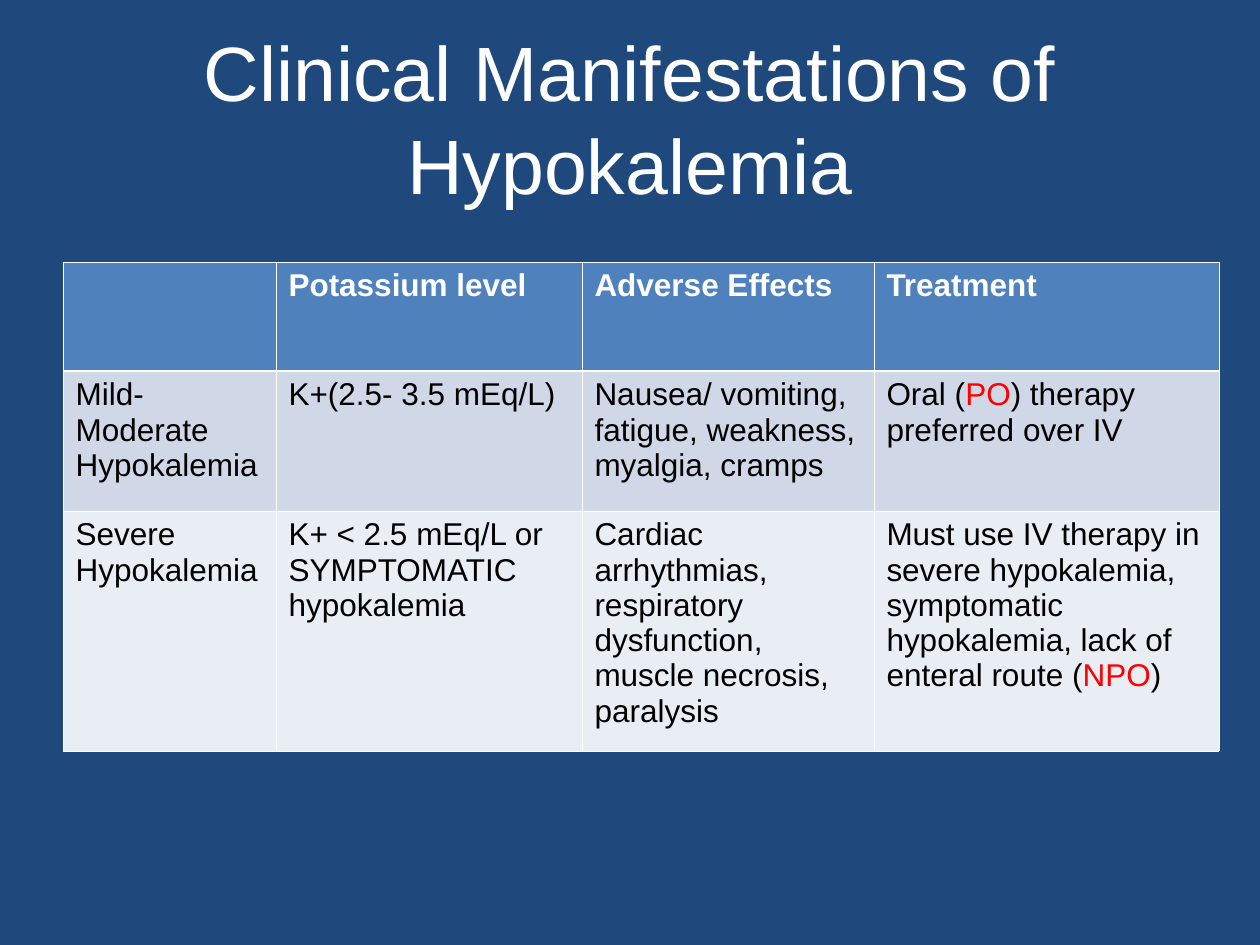
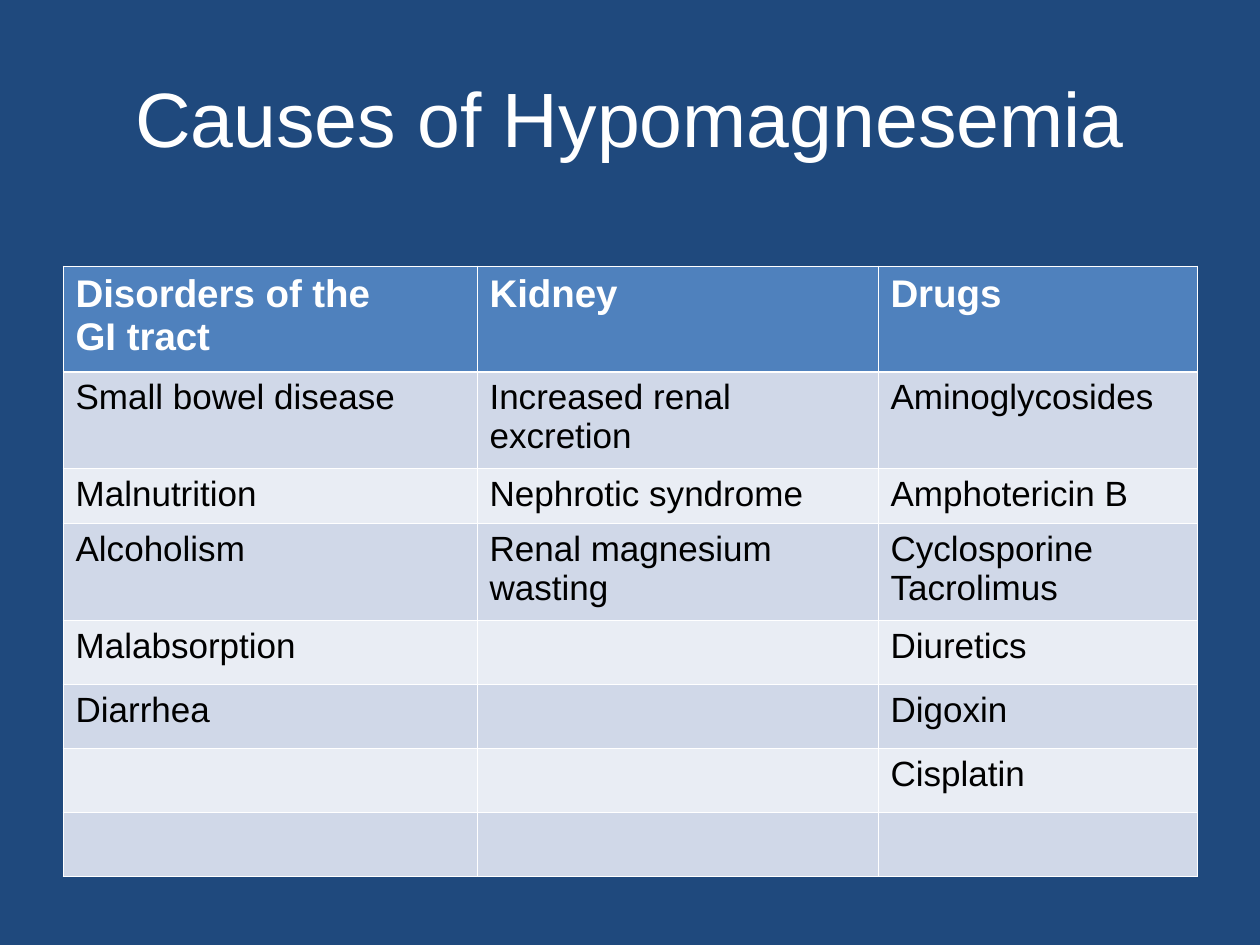
from dataclasses import dataclass

from lxml.etree import SubElement
from pptx import Presentation
from pptx.dml.color import RGBColor
from pptx.enum.text import MSO_ANCHOR as Anchor, PP_ALIGN as Align
from pptx.oxml.ns import qn
from pptx.slide import Slide
from pptx.table import _Cell as Cell
from pptx.text.text import TextFrame, _Paragraph as Paragraph
from pptx.util import Emu, Pt

PX_PER_INCH = 126
FONT = "Arial"
NAVY, BLUE, WHITE, BLACK, RED = "1F497D", "4F81BD", "FFFFFF", "000000", "FF0000"
BANDS = ("D0D8E8", "E9EDF4")
THIN, THICK = 0.45, 1.47


@dataclass(frozen=True)
class TextStyle:
    size: int
    color: str
    bold: bool = False
    align: Align = Align.LEFT


@dataclass(frozen=True)
class TableSlide:
    title: str
    left: int
    top: int
    columns: tuple[int, ...]
    row_heights: tuple[int, ...]
    header_size: int
    body_size: int
    rows: tuple[tuple[str, ...], ...]


TITLE = TextStyle(44, WHITE, align=Align.CENTER)

SLIDES = (
    TableSlide(
        "Clinical Manifestations of Hypokalemia",
        63, 262, (213, 306, 292, 345), (109, 140, 240), 18, 18,
        (
            ("", "Potassium level", "Adverse Effects", "Treatment"),
            (
                "Mild- Moderate Hypokalemia",
                "K+(2.5- 3.5 mEq/L)",
                "Nausea/ vomiting, fatigue, weakness, myalgia, cramps",
                "Oral (|PO|) therapy preferred over IV",
            ),
            (
                "Severe Hypokalemia",
                "K+ < 2.5 mEq/L or\nSYMPTOMATIC hypokalemia",
                "Cardiac arrhythmias, respiratory dysfunction, muscle necrosis, paralysis",
                "Must use IV therapy in severe hypokalemia, symptomatic hypokalemia, "
                "lack of enteral route (|NPO|)",
            ),
        ),
    ),
    TableSlide(
        "Causes of Hypomagnesemia",
        63, 266, (414, 401, 319), (106, 96, 55, 96, 64, 64, 64, 64), 22, 20,
        (
            ("Disorders of the\nGI tract", "Kidney", "Drugs"),
            ("Small bowel disease", "Increased renal excretion", "Aminoglycosides"),
            ("Malnutrition", "Nephrotic syndrome", "Amphotericin B"),
            ("Alcoholism", "Renal magnesium wasting", "Cyclosporine\nTacrolimus"),
            ("Malabsorption", "", "Diuretics"),
            ("Diarrhea", "", "Digoxin"),
            ("", "", "Cisplatin"),
            ("", "", ""),
        ),
    ),
)


def px(length: int) -> Emu:
    return Emu(round(length * 914400 / PX_PER_INCH))


def rgb(color: str) -> RGBColor:
    return RGBColor.from_string(color)


def add_run(paragraph: Paragraph, text: str, style: TextStyle, color: str) -> None:
    run = paragraph.add_run()
    run.text = text
    formats = {"name": FONT, "size": Pt(style.size), "bold": style.bold}
    for name, value in formats.items():
        setattr(run.font, name, value)
    run.font.color.rgb = rgb(color)


def write(frame: TextFrame, text: str, style: TextStyle) -> None:
    for index, line in enumerate(text.split("\n")):
        paragraph = frame.add_paragraph() if index else frame.paragraphs[0]
        paragraph.alignment = style.align
        for position, part in enumerate(line.split("|")):
            if part:
                add_run(paragraph, part, style, RED if position % 2 else style.color)


def add_borders(cell: Cell, row: int) -> None:
    widths = {
        "a:lnL": THIN,
        "a:lnR": THIN,
        "a:lnT": THICK if row == 1 else THIN,
        "a:lnB": THICK if row == 0 else THIN,
    }
    properties = cell._tc.get_or_add_tcPr()
    for tag, width in widths.items():
        line = SubElement(properties, qn(tag), w=str(Pt(width)))
        fill = SubElement(line, qn("a:solidFill"))
        SubElement(fill, qn("a:srgbClr"), val=WHITE)


def add_title(slide: Slide, text: str) -> None:
    shape = slide.shapes.add_textbox(px(63), px(38), px(1134), px(158))
    shape.text_frame.word_wrap = True
    shape.text_frame.vertical_anchor = Anchor.MIDDLE
    write(shape.text_frame, text, TITLE)


def add_table(slide: Slide, content: TableSlide) -> None:
    table = slide.shapes.add_table(
        len(content.rows), len(content.columns),
        px(content.left), px(content.top),
        px(sum(content.columns)), px(sum(content.row_heights)),
    ).table
    table.horz_banding = False
    for column, width in zip(table.columns, content.columns):
        column.width = px(width)
    for row, height in zip(table.rows, content.row_heights):
        row.height = px(height)

    header = TextStyle(content.header_size, WHITE, bold=True)
    body = TextStyle(content.body_size, BLACK)
    for row_index, texts in enumerate(content.rows):
        is_header = row_index == 0
        for column_index, text in enumerate(texts):
            cell = table.cell(row_index, column_index)
            add_borders(cell, row_index)
            cell.fill.solid()
            color = BLUE if is_header else BANDS[(row_index - 1) % 2]
            cell.fill.fore_color.rgb = rgb(color)
            write(cell.text_frame, text, header if is_header else body)


def main() -> None:
    presentation = Presentation()
    presentation.slide_width = px(1260)
    presentation.slide_height = px(945)
    for content in SLIDES:
        slide = presentation.slides.add_slide(presentation.slide_layouts[6])
        slide.background.fill.solid()
        slide.background.fill.fore_color.rgb = rgb(NAVY)
        add_title(slide, content.title)
        add_table(slide, content)
    presentation.save("out.pptx")


if __name__ == "__main__":
    main()
